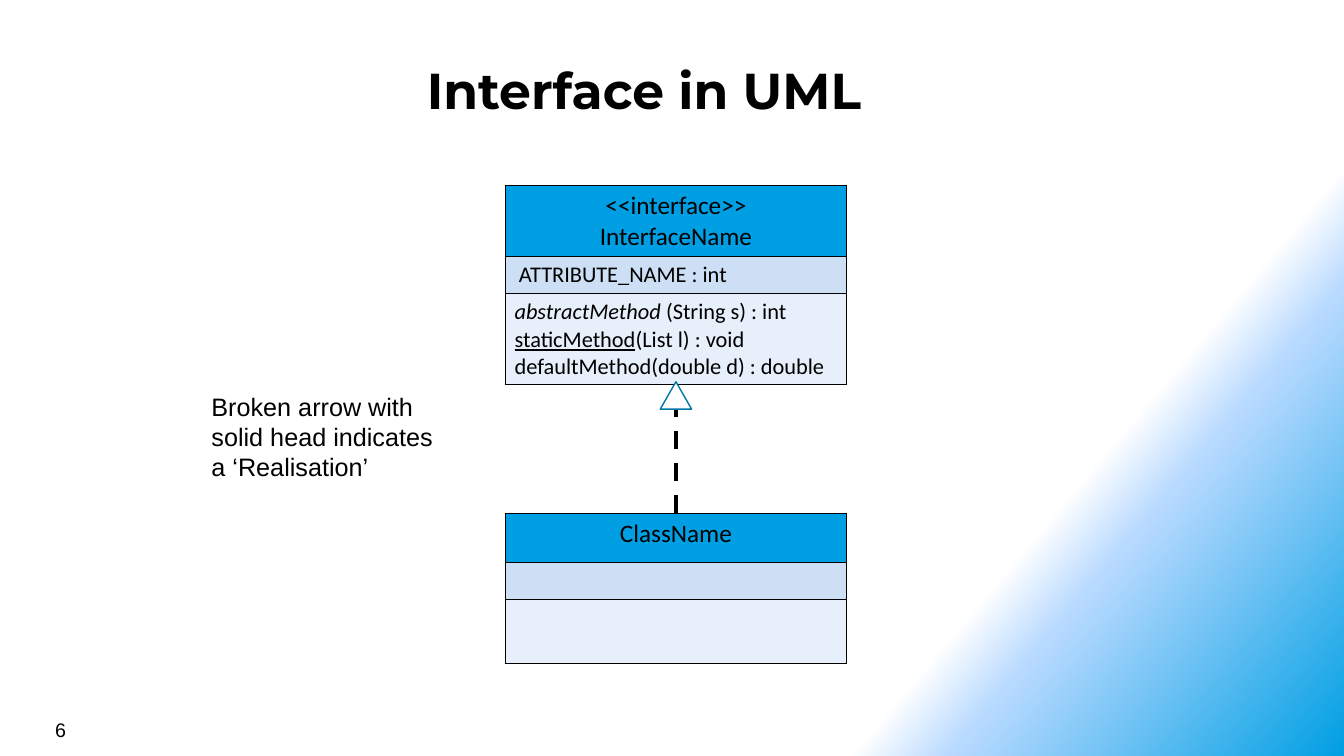
from lxml import etree
from pptx import Presentation
from pptx.dml.color import RGBColor
from pptx.enum.dml import MSO_LINE
from pptx.enum.shapes import MSO_CONNECTOR, MSO_SHAPE
from pptx.enum.text import MSO_ANCHOR, PP_ALIGN
from pptx.oxml import parse_xml
from pptx.oxml.ns import nsdecls, qn
from pptx.util import Cm, Pt

LEFT, CENTER = PP_ALIGN.LEFT, PP_ALIGN.CENTER
TOP, MIDDLE = MSO_ANCHOR.TOP, MSO_ANCHOR.MIDDLE
DASH = MSO_LINE.DASH
STRAIGHT = MSO_CONNECTOR.STRAIGHT
TRIANGLE = MSO_SHAPE.ISOSCELES_TRIANGLE

BLACK = RGBColor(0x00, 0x00, 0x00)
WHITE = RGBColor(0xFF, 0xFF, 0xFF)
BLUE = RGBColor(0x00, 0x9F, 0xE3)
SKY = RGBColor(0xB9, 0xDA, 0xFF)
LIGHT_BLUE = RGBColor(0xCC, 0xDF, 0xF4)
PALE_BLUE = RGBColor(0xE7, 0xF0, 0xFA)
HEAD_BLUE = RGBColor(0x00, 0x76, 0xA8)

BACKGROUND_STOPS = [(75, WHITE), (80, SKY), (100, BLUE)]
BACKGROUND_ANGLE = 40

PLAIN, ITALIC, UNDERLINE = {}, {"italic": True}, {"underline": True}

TEXTS = [
    {"box": (0.66, 1.3, 31.14, 1.4), "inset": 0.2, "anchor": TOP, "align": CENTER,
     "format": {"name": "Montserrat", "size": Pt(36), "bold": True},
     "lines": [[("Interface in UML", PLAIN)]]},
    {"box": (1.14, 17.96, 7.9, 0.84), "inset": 0.25, "anchor": MIDDLE, "align": LEFT,
     "format": {"name": "Arial", "size": Pt(14)},
     "lines": [[("6", PLAIN)]]},
    {"box": (5.08, 9.73, 10.39, 2.57), "inset": 0.25, "anchor": TOP, "align": LEFT,
     "format": {"name": "Arial", "size": Pt(18)},
     "lines": [[("Broken arrow with", PLAIN)],
               [("solid head indicates", PLAIN)],
               [("a ‘Realisation’", PLAIN)]]},
]

SECTIONS = [
    {"fill": BLUE, "align": CENTER, "size": 18, "indent": 0.24},
    {"fill": LIGHT_BLUE, "align": LEFT, "size": 16, "indent": 0.35},
    {"fill": PALE_BLUE, "align": LEFT, "size": 16, "indent": 0.24},
]
INTERFACE = [
    (1.78, [[("<<interface>>", PLAIN)], [("InterfaceName", PLAIN)]]),
    (0.94, [[("ATTRIBUTE_NAME : int", PLAIN)]]),
    (2.28, [[("abstractMethod", ITALIC), (" (String s) : int", PLAIN)],
            [("staticMethod", UNDERLINE), ("(List l) : void", PLAIN)],
            [("defaultMethod(double d) : double", PLAIN)]]),
]
CLASS = [
    (1.24, [[("ClassName", PLAIN)]]),
    (0.94, []),
    (1.6, []),
]
UML_LEFT, UML_WIDTH = 12.73, 8.61
INTERFACE_TOP, CLASS_TOP = 4.67, 12.93
HEAD_WIDTH, HEAD_HEIGHT = 0.79, 0.69


def set_format(target, values):
    for name, value in values.items():
        setattr(target, name, value)


def write_lines(frame, lines, align, text_format):
    for index, runs in enumerate(lines):
        paragraph = frame.add_paragraph() if index else frame.paragraphs[0]
        paragraph.alignment = align
        for text, emphasis in runs:
            run = paragraph.add_run()
            run.text = text
            set_format(run.font, {**text_format, **emphasis})
            run.font.color.rgb = BLACK


def paint_background(slide):
    stops = "".join(
        f'<a:gs pos="{position * 1000}"><a:srgbClr val="{color}"/></a:gs>'
        for position, color in BACKGROUND_STOPS)
    gradient = parse_xml(
        f'<a:gradFill {nsdecls("a")} rotWithShape="1"><a:gsLst>{stops}</a:gsLst>'
        f'<a:lin ang="{BACKGROUND_ANGLE * 60000}" scaled="0"/></a:gradFill>')
    slide.background.fill.solid()
    solid = slide._element.find(".//" + qn("p:bgPr")).find(qn("a:solidFill"))
    solid.getparent().replace(solid, gradient)


def add_text(slide, item):
    box = slide.shapes.add_textbox(*map(Cm, item["box"]))
    inset = Cm(item["inset"])
    set_format(box.text_frame, {
        "word_wrap": True, "vertical_anchor": item["anchor"],
        "margin_left": inset, "margin_right": inset,
        "margin_top": min(inset, Cm(0.2)) if item["inset"] == 0.2 else Cm(0.13),
        "margin_bottom": Cm(0.13)})
    write_lines(box.text_frame, item["lines"], item["align"], item["format"])


def add_borders(cell):
    properties = cell._tc.get_or_add_tcPr()
    for side in ("lnL", "lnR", "lnT", "lnB"):
        properties.append(parse_xml(
            f'<a:{side} {nsdecls("a")} w="{Pt(1)}"><a:solidFill>'
            f'<a:srgbClr val="{BLACK}"/></a:solidFill></a:{side}>'))


def add_uml_box(slide, top, rows):
    height = sum(row_height for row_height, _ in rows)
    table = slide.shapes.add_table(
        len(rows), 1, Cm(UML_LEFT), Cm(top), Cm(UML_WIDTH), Cm(height)).table
    set_format(table, {"first_row": False, "horz_banding": False})
    for index, ((row_height, lines), section) in enumerate(zip(rows, SECTIONS)):
        table.rows[index].height = Cm(row_height)
        cell = table.cell(index, 0)
        set_format(cell, {
            "margin_left": Cm(section["indent"]), "margin_right": Cm(0.24),
            "margin_top": Cm(0.13), "margin_bottom": Cm(0.13)})
        add_borders(cell)
        cell.fill.solid()
        cell.fill.fore_color.rgb = section["fill"]
        size = section["size"]
        write_lines(cell.text_frame, lines, section["align"],
                    {"name": "Calibri", "size": Pt(size)})
        if not lines:
            etree.SubElement(cell.text_frame.paragraphs[0]._p,
                             qn("a:endParaRPr"), sz=str(size * 100))
    return top + height


def add_realisation(slide, start, end):
    center = UML_LEFT + UML_WIDTH / 2
    arrow = slide.shapes.add_connector(
        STRAIGHT, Cm(center), Cm(start), Cm(center), Cm(end))
    set_format(arrow.line, {"width": Pt(3.25), "dash_style": DASH})
    arrow.line.color.rgb = BLACK
    etree.SubElement(arrow.line._get_or_add_ln(), qn("a:tailEnd"), type="triangle")
    etree.SubElement(arrow._element.spPr, qn("a:effectLst"))

    head = slide.shapes.add_shape(
        TRIANGLE, Cm(center - HEAD_WIDTH / 2), Cm(end - 0.05),
        Cm(HEAD_WIDTH), Cm(HEAD_HEIGHT))
    head.shadow.inherit = False
    head.fill.solid()
    head.fill.fore_color.rgb = WHITE
    head.line.color.rgb = HEAD_BLUE
    head.line.width = Pt(1)


def main():
    presentation = Presentation()
    presentation.slide_width, presentation.slide_height = Cm(33.87), Cm(19.05)
    slide = presentation.slides.add_slide(presentation.slide_layouts[6])
    paint_background(slide)
    for item in TEXTS:
        add_text(slide, item)
    interface_bottom = add_uml_box(slide, INTERFACE_TOP, INTERFACE)
    add_uml_box(slide, CLASS_TOP, CLASS)
    add_realisation(slide, CLASS_TOP, interface_bottom)
    presentation.save("out.pptx")


if __name__ == "__main__":
    main()
